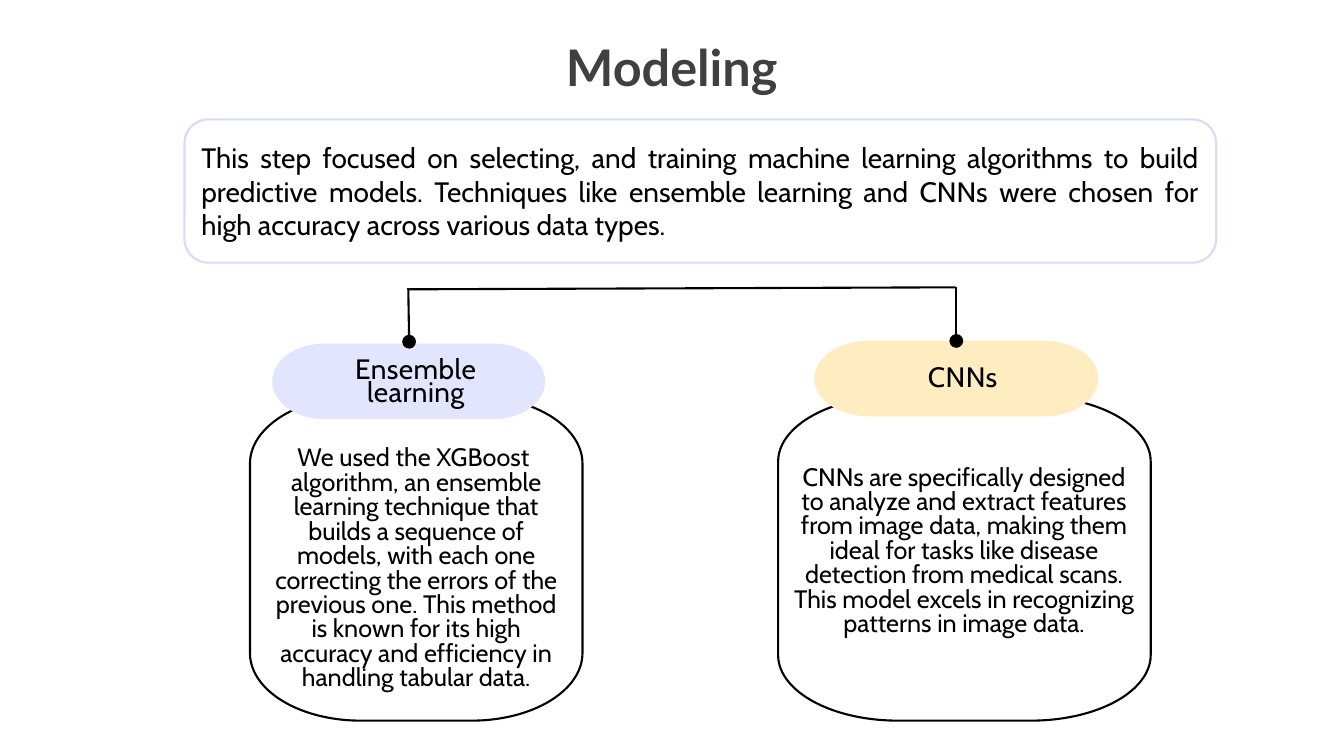
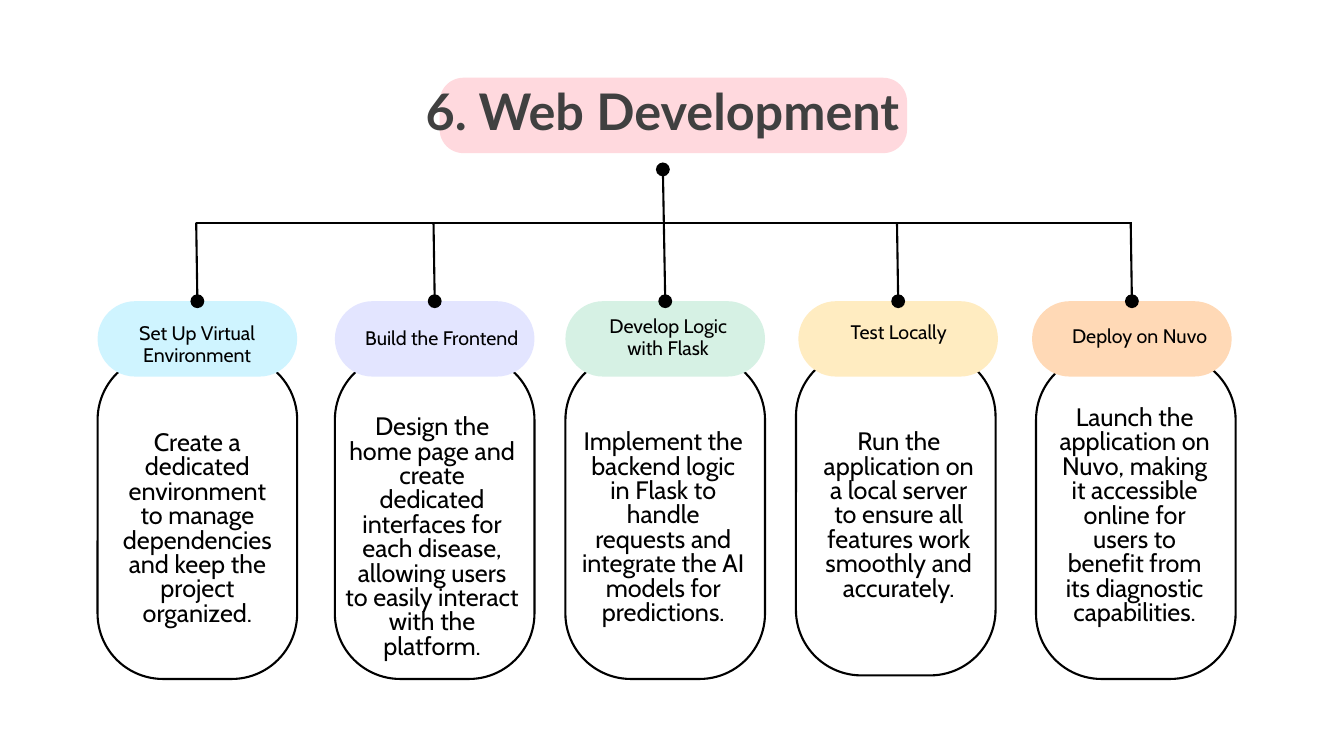
from lxml import etree
from pptx import Presentation
from pptx import util as u
from pptx.dml.color import RGBColor
from pptx.enum import shapes, text
from pptx.oxml.ns import qn

COLOURS = {
    "ink": "000000", "title": "404040", "paper": "FFFFFF", "frame": "D5DCF6",
    "blue": "CFF4FF", "lilac": "E3E5FF", "green": "D6F1E4",
    "yellow": "FFECC1", "orange": "FFD9B6", "pink": "FFD9DE",
}
BODY_FONT, TITLE_FONT = "Cabin", "Lato"
LINE_WIDTH = 1.5
PILL_HEIGHT = 1.9
PANEL_HEIGHT = 8.18
QUARTER_TURN = 90 * 60000

# Each branch: colour, pill (left, top, width, corner), panel (left, top, width, corner x, corner y),
# label (text, left, top, width, line spacing), body (paragraphs, left, top, width)
MODELS = [
    ("lilac", (6.86, 8.66, 6.88, 1.3), (6.3, 9.98, 8.38, 2.79, 1.7),
     ("Ensemble learning", 8.08, 9.14, 4.8, 16.24),
     (["We used the XGBoost ",
       "algorithm, an ensemble learning technique that builds a sequence of models, "
       "with each one correcting the errors of the previous one. This method is known "
       "for its high accuracy and efficiency in handling tabular data."], 6.73, 11.28, 7.52)),
    ("yellow", (20.52, 8.59, 7.16, 1.36), (19.61, 9.98, 9.39, 3.02, 1.65),
     ("CNNs", 21.87, 9.38, 4.78, 14.9),
     (["CNNs are specifically designed to analyze and extract features from image data, "
       "making them ideal for tasks like disease detection from medical scans. This model "
       "excels in recognizing patterns in image data."], 19.94, 11.76, 8.71)),
]

STEP_PILL_TOP, STEP_WIDTH, STEP_CORNER = 7.59, 5.03, 1.65
# Each step: colour, pill left, panel left and top, label, body
STEPS = [
    ("blue", 2.46, (2.46, 8.93), ("Set Up Virtual Environment", 3.08, 8.1, 3.78, 16.24),
     (["Create a dedicated environment to manage dependencies and keep the project "
       "organized."], 2.93, 10.89, 4.09)),
    ("lilac", 8.44, (8.44, 8.93), ("Build the Frontend", 8.76, 8.24, 4.75, 16.24),
     (["Design the home page and create dedicated interfaces for each disease, allowing "
       "users to easily interact with the platform."], 8.68, 10.49, 4.42)),
    ("green", 14.25, (14.25, 8.93), ("Develop Logic with Flask", 14.95, 7.92, 3.78, 16.24),
     (["Implement the backend logic in Flask to handle requests and integrate the AI "
       "models for predictions."], 14.63, 10.87, 4.17)),
    ("yellow", 20.12, (20.06, 8.84), ("Test Locally", 20.29, 8.13, 4.72, 14.9),
     (["Run the application on a local server to ensure all features work smoothly and "
       "accurately."], 20.62, 10.87, 4.06)),
    ("orange", 26.01, (26.11, 8.93), ("Deploy on Nuvo", 26.65, 8.24, 4.14, 14.9),
     (["Launch the application on Nuvo, making it accessible online for users to benefit "
       "from its diagnostic capabilities."], 26.65, 10.26, 3.89)),
]


def colour(name):
    return RGBColor.from_string(COLOURS[name])


def finish(shape, fill, line):
    shape.shadow.inherit = False
    shape.fill.solid()
    shape.fill.fore_color.rgb = colour(fill)
    if line:
        shape.line.color.rgb = colour(line)
        shape.line.width = u.Pt(LINE_WIDTH)
    else:
        shape.line.fill.background()
    return shape


def add_rounded(page, left, top, width, height, rx, ry, fill, line=None):
    """Rectangle with corners of radii rx and ry; a preset shape when they are equal."""
    if rx == ry:
        shape = page.shapes.add_shape(shapes.MSO_SHAPE.ROUNDED_RECTANGLE,
                                      *map(u.Cm, (left, top, width, height)))
        shape.adjustments[0] = rx / min(width, height)
        return finish(shape, fill, line)
    right, bottom = left + width, top + height
    points = [(u.Cm(x), u.Cm(y)) for x, y in (
        (left + rx, top), (right - rx, top), (right, top + ry), (right, bottom - ry),
        (right - rx, bottom), (left + rx, bottom), (left, bottom - ry), (left, top + ry))]
    outline = page.shapes.build_freeform(*points[0], scale=1.0)
    outline.add_line_segments(points[1:] + points[:1], close=True)
    shape = outline.convert_to_shape()
    corners = list(shape.element.iter(qn("a:lnTo")))[1::2]
    for corner, turns in zip(corners, (3, 0, 1, 2)):
        arc = etree.Element(qn("a:arcTo"), wR=str(u.Cm(rx)), hR=str(u.Cm(ry)),
                            stAng=str(turns * QUARTER_TURN), swAng=str(QUARTER_TURN))
        corner.getparent().replace(corner, arc)
    return finish(shape, fill, line)


def add_line(page, start, end, dots=()):
    """Straight line; dots names the ends ("headEnd", "tailEnd") that carry a round dot."""
    line = page.shapes.add_connector(shapes.MSO_CONNECTOR.STRAIGHT, *map(u.Cm, (*start, *end)))
    line.line.color.rgb = colour("ink")
    line.line.width = u.Pt(LINE_WIDTH)
    for dot in dots:
        etree.SubElement(line.get_or_add_ln(), qn(f"a:{dot}"), type="oval", w="lg", len="lg")
    etree.SubElement(line.element.spPr, qn("a:effectLst"))


def write(frame, paragraphs, size, spacing=None, align=text.PP_ALIGN.CENTER,
          font=BODY_FONT, ink="ink", bold=False):
    frame.word_wrap = True
    frame.auto_size = text.MSO_AUTO_SIZE.NONE
    for index, words in enumerate(paragraphs):
        para = frame.add_paragraph() if index else frame.paragraphs[0]
        para.alignment = align
        if spacing:
            para.line_spacing = u.Pt(spacing)
        span = para.add_run()
        span.text = words
        span.font.name = font
        span.font.size = u.Pt(size)
        span.font.bold = bold
        span.font.color.rgb = colour(ink)


def clear_insets(frame):
    frame.margin_left = frame.margin_right = frame.margin_top = frame.margin_bottom = 0
    frame.vertical_anchor = text.MSO_ANCHOR.TOP


def add_text(page, paragraphs, left, top, width, height, size, spacing):
    box = page.shapes.add_textbox(*map(u.Cm, (left, top, width, height)))
    clear_insets(box.text_frame)
    write(box.text_frame, paragraphs, size, spacing)
    return box


def add_page(deck, words, left, top):
    page = deck.slides.add_slide(deck.slide_layouts[5])
    title = page.shapes.title
    title.left, title.top, title.width, title.height = map(u.Cm, (left, top, 12.42, 1.4))
    clear_insets(title.text_frame)
    write(title.text_frame, [words], 36, 38.6, font=TITLE_FONT, ink="title", bold=True)
    return page


def add_branch(page, fill, pill, panel, label, body, label_size):
    """Outlined panel topped by a coloured pill, with their texts; returns the label box."""
    left, top, width, rx, ry = panel
    add_rounded(page, left, top, width, PANEL_HEIGHT, rx, ry, "paper", "ink")
    left, top, width, rx = pill
    add_rounded(page, left, top, width, PILL_HEIGHT, rx, PILL_HEIGHT / 2, fill)
    words, left, top, width, spacing = label
    box = add_text(page, [words], left, top, width, 1.15, label_size, spacing)
    paragraphs, left, top, width = body
    add_text(page, paragraphs, left, top, width, 6.07, 18, 17.43)
    return box


def add_modeling(deck):
    page = add_page(deck, "Modeling", 10.72, 1.07)
    intro = page.shapes.add_shape(shapes.MSO_SHAPE.ROUNDED_RECTANGLE,
                                  *map(u.Cm, (4.65, 3.01, 26, 3.61)))
    finish(intro, "paper", "frame")
    intro.text_frame.vertical_anchor = text.MSO_ANCHOR.MIDDLE
    write(intro.text_frame,
          ["This step focused on selecting, and training machine learning algorithms to build "
           "predictive models. Techniques like ensemble learning and CNNs were chosen for high "
           "accuracy across various data types."], 20, align=text.PP_ALIGN.JUSTIFY)
    for branch in MODELS:
        label = add_branch(page, *branch, label_size=20)
        for props in label.element.iter(qn("a:rPr")):
            props.set("spc", "30")
    add_line(page, (24.08, 7.24), (10.31, 7.29))
    add_line(page, (10.29, 7.26), (10.31, 8.61), ["tailEnd"])
    add_line(page, (24.1, 7.22), (24.1, 8.59), ["tailEnd"])


def add_web_development(deck):
    page = add_page(deck, "6. Web Development ", 10.64, 2.18)
    band = add_rounded(page, 11.08, 1.96, 11.78, 1.9, 0.6, 0.6, "pink")
    page.shapes.title.element.addprevious(band.element)
    bar, lean = 5.61, 0.03
    centres = [left + STEP_WIDTH / 2 for _, left, *_ in STEPS]
    middle = centres[len(centres) // 2]
    for fill, left, panel, label, body in STEPS:
        add_branch(page, fill, (left, STEP_PILL_TOP, STEP_WIDTH, PILL_HEIGHT / 2),
                   (*panel, STEP_WIDTH, STEP_CORNER, STEP_CORNER), label, body, label_size=14)
    add_line(page, (centres[-1], bar), (centres[0] - lean, bar))
    for x in centres:
        if x == middle:
            add_line(page, (x - 2 * lean, 4.27), (x, STEP_PILL_TOP), ["headEnd", "tailEnd"])
        else:
            add_line(page, (x - lean, bar), (x, STEP_PILL_TOP), ["tailEnd"])


def main():
    deck = Presentation()
    deck.slide_width, deck.slide_height = u.Cm(33.87), u.Cm(19.05)
    add_modeling(deck)
    add_web_development(deck)
    deck.save("out.pptx")


if __name__ == "__main__":
    main()
